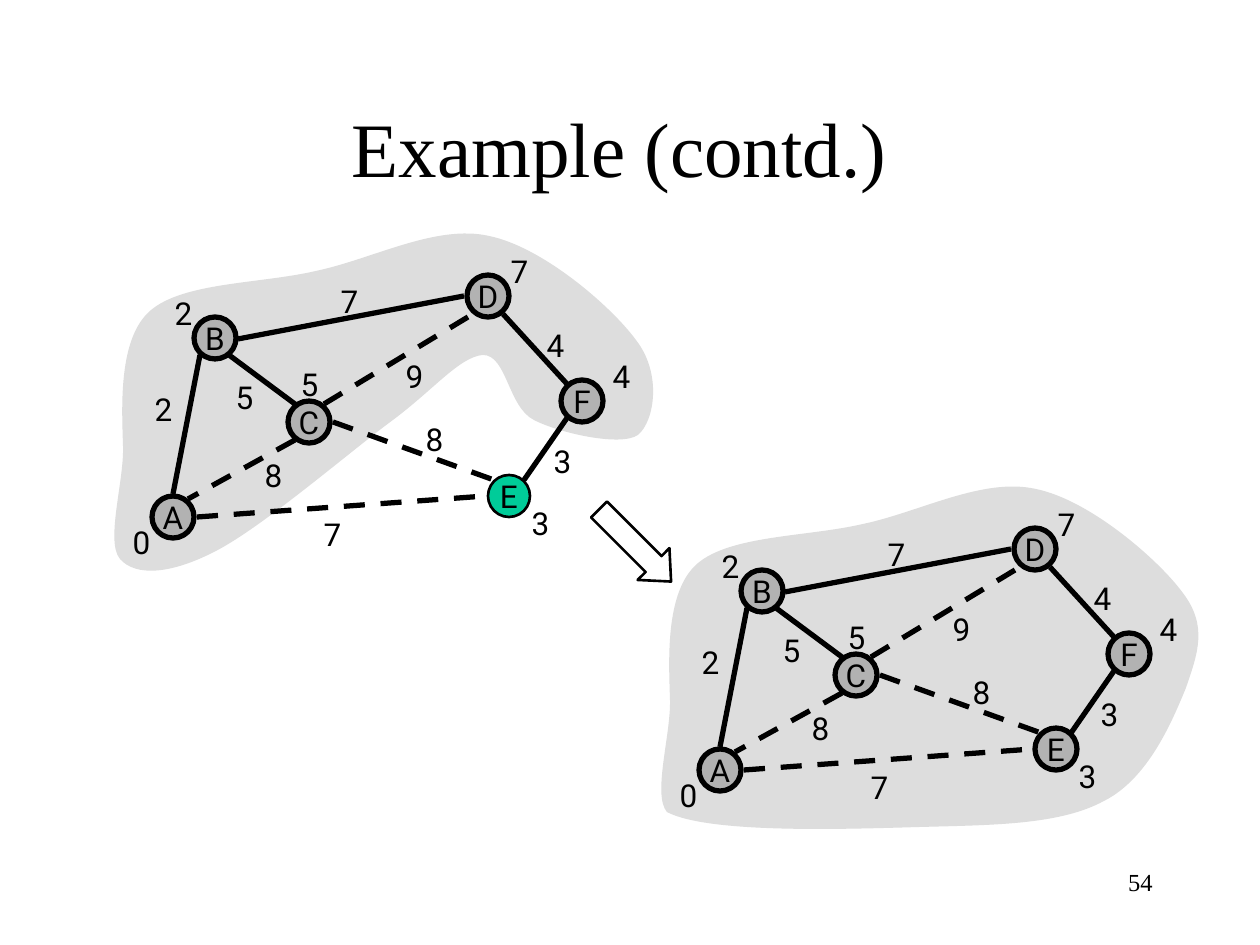
from pptx import Presentation
from pptx.dml.color import RGBColor
from pptx.enum.dml import MSO_LINE
from pptx.enum.shapes import MSO_CONNECTOR, MSO_SHAPE
from pptx.enum.text import MSO_ANCHOR, MSO_AUTO_SIZE, PP_ALIGN
from pptx.util import Pt
from lxml import etree

BLACK = RGBColor(0x00, 0x00, 0x00)
CLOUD_GRAY = RGBColor(0xDD, 0xDD, 0xDD)
NODE_GRAY = RGBColor(0xB2, 0xB2, 0xB2)
GREEN = RGBColor(0x00, 0xCC, 0x99)
OVAL, ARROW = MSO_SHAPE.OVAL, MSO_SHAPE.RIGHT_ARROW
STRAIGHT, DASH = MSO_CONNECTOR.STRAIGHT, MSO_LINE.DASH
CENTER, RIGHT = PP_ALIGN.CENTER, PP_ALIGN.RIGHT
TOP, MIDDLE, BOTTOM = MSO_ANCHOR.TOP, MSO_ANCHOR.MIDDLE, MSO_ANCHOR.BOTTOM
FIT = MSO_AUTO_SIZE.SHAPE_TO_FIT_TEXT
SANS, SERIF = "Roboto", "Times New Roman"
A = "{http://schemas.openxmlformats.org/drawingml/2006/main}"
NODE = 42
LABEL_W, LABEL_H = 43, 50


def px(*values):
    return [round(v * 914400 / 126) for v in values]


def write(sp, text, size=18, font=SANS, align=CENTER, anchor=TOP, wrap=False):
    tf = sp.text_frame
    for name, value in {"word_wrap": wrap, "vertical_anchor": anchor}.items():
        setattr(tf, name, value)
    p = tf.paragraphs[0]
    p.alignment = align
    r = p.add_run()
    r.text = text
    for name, value in {"size": Pt(size), "name": font}.items():
        setattr(r.font, name, value)
    r.font.color.rgb = BLACK


cloud_start = (123, 444)
cloud_bottom_left = [(125, 479), (105, 541), (120, 559)]
cloud_top = [
    (612, 307), (543, 247), (489, 236),
    (436, 224), (373, 259), (316, 271),
    (260, 284), (183, 282), (150, 311),
    (118, 339), (122, 408), (123, 444),
]
cloud_without_e = [
    (136, 577), (171, 574), (214, 552),
    (260, 529), (345, 456), (389, 423),
    (433, 391), (459, 357), (483, 355),
    (507, 355), (508, 407), (534, 420),
    (559, 433), (621, 447), (638, 435),
    (655, 421), (662, 373), (636, 340),
]
cloud_with_e = [
    (162, 581), (301, 576), (373, 574),
    (446, 572), (513, 572), (557, 548),
    (601, 526), (625, 469), (639, 435),
    (651, 400), (661, 373), (636, 340),
]
nodes = [("B", 194, 317), ("D", 467, 275), ("C", 288, 401),
         ("A", 152, 496), ("F", 561, 380), ("E", 488, 475)]
edges = [
    (229, 355, 295, 404, False),
    (295, 440, 188, 499, True),
    (200, 355, 173, 494, False),
    (333, 422, 494, 480, True),
    (197, 517, 486, 496, True),
    (238, 339, 464, 296, False),
    (324, 404, 473, 314, True),
    (567, 384, 503, 314, False),
    (524, 480, 567, 418, False),
]
labels = [
    ("7", 328, 276), ("4", 534, 320), ("2", 142, 384), ("8", 413, 414),
    ("5", 223, 372), ("7", 311, 509), ("3", 541, 436), ("9", 393, 351),
    ("8", 252, 450), ("0", 120, 517), ("3", 519, 498), ("2", 162, 288),
    ("5", 288, 359), ("4", 600, 351), ("7", 498, 246),
]
graphs = [(0, 0, cloud_without_e, "E"), (547, 253, cloud_with_e, None)]

prs = Presentation()
prs.slide_width, prs.slide_height = px(1260, 945)
s = prs.slides.add_slide(prs.slide_layouts[6])

title = s.shapes.add_textbox(*px(84, 41, 1071, 158))
write(title, "Example (contd.)", 44, SERIF, anchor=BOTTOM, wrap=True)

for dx, dy, cloud_side, new_node in graphs:
    outline = [cloud_start] + cloud_bottom_left + cloud_side + cloud_top
    points = [px(x + dx, y + dy) for x, y in outline]
    builder = s.shapes.build_freeform(*points[0])
    builder.add_line_segments(points[1:], close=True)
    cloud = builder.convert_to_shape()
    segments = list(cloud._element.spPr.iter(A + "lnTo"))
    for i in range(0, len(segments), 3):
        curve = etree.Element(A + "cubicBezTo")
        segments[i].addprevious(curve)
        for segment in segments[i:i + 3]:
            curve.append(segment[0])
            segment.getparent().remove(segment)
    cloud.shadow.inherit = False
    cloud.fill.solid()
    cloud.fill.fore_color.rgb = CLOUD_GRAY
    cloud.line.fill.background()

    for name, x, y in nodes:
        sp = s.shapes.add_shape(OVAL, *px(x + dx, y + dy, NODE, NODE))
        sp.shadow.inherit = False
        sp.fill.solid()
        sp.fill.fore_color.rgb = GREEN if name == new_node else NODE_GRAY
        sp.line.color.rgb = BLACK
        sp.line.width = Pt(1.5 if name == new_node else 3)
        write(sp, name, anchor=MIDDLE)

    for x1, y1, x2, y2, dashed in edges:
        edge = s.shapes.add_connector(
            STRAIGHT, *px(x1 + dx, y1 + dy, x2 + dx, y2 + dy))
        edge.line.color.rgb = BLACK
        edge.line.width = Pt(3)
        if dashed:
            edge.line.dash_style = DASH
        etree.SubElement(edge._element.spPr, A + "effectLst")

    for text, x, y in labels:
        label = s.shapes.add_textbox(*px(x + dx, y + dy, LABEL_W, LABEL_H))
        write(label, text)
        label.text_frame.auto_size = FIT

arrow = s.shapes.add_shape(ARROW, *px(584, 523, 102, 45))
arrow.shadow.inherit = False
arrow.rotation = 45
arrow.adjustments[0] = 0.5
arrow.adjustments[1] = 0.55
arrow.fill.background()
arrow.line.color.rgb = BLACK
arrow.line.width = Pt(1.5)

page = s.shapes.add_textbox(*px(903, 861, 262, 63))
write(page, "54", 14, SERIF, RIGHT, wrap=True)

prs.save("out.pptx")
